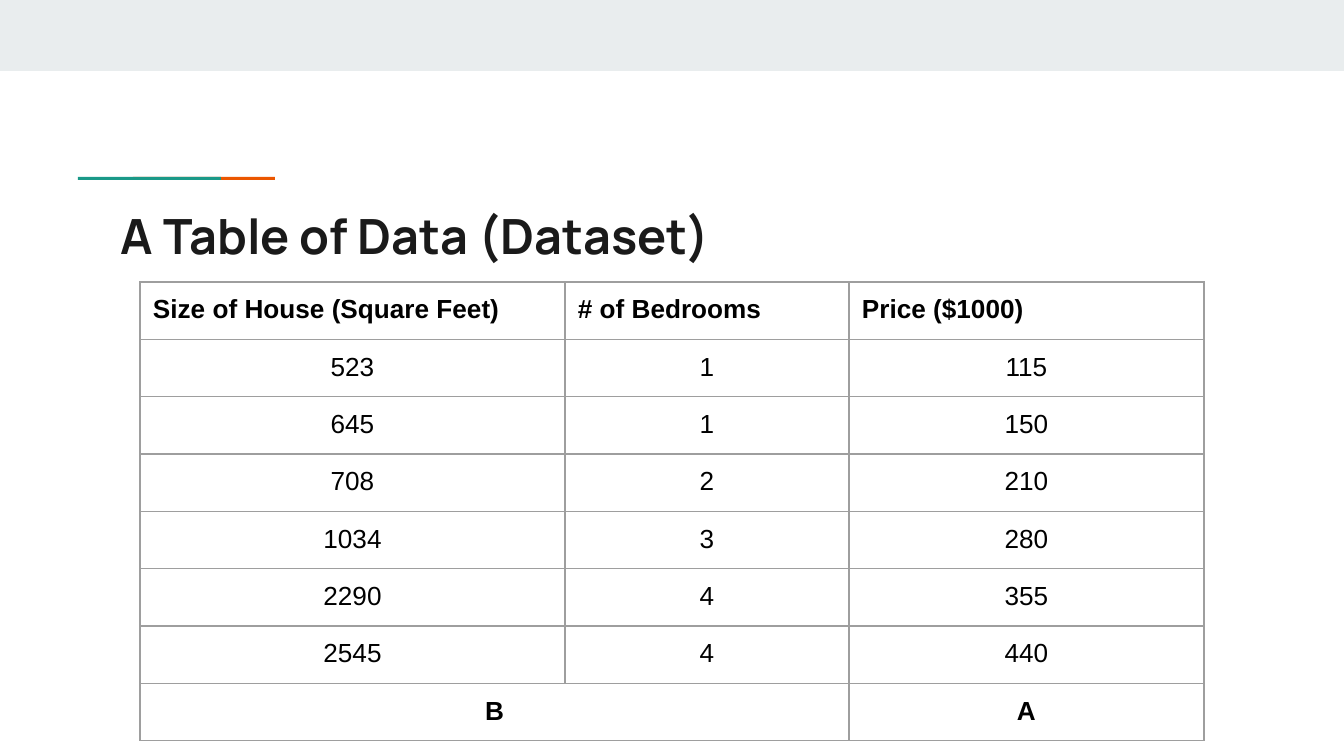
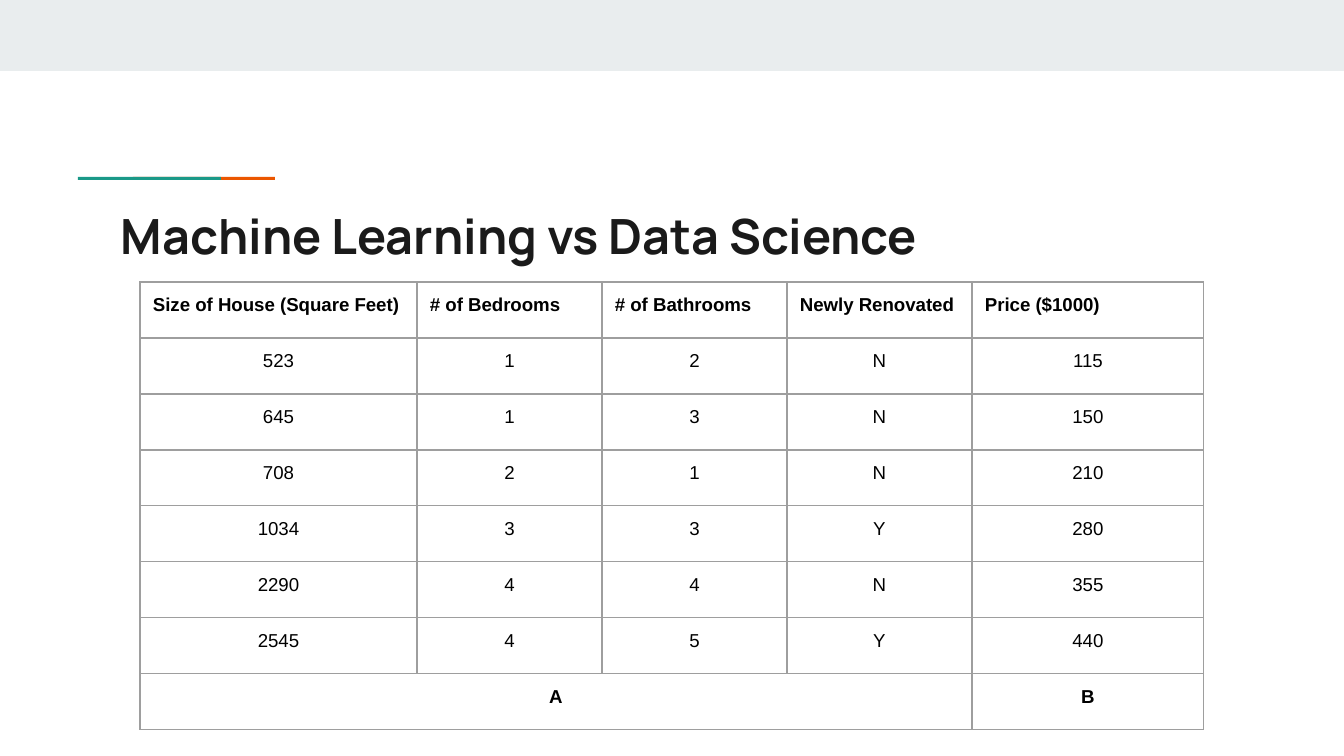
"""Build two slides that each show a house price dataset under a titled band."""
from lxml import etree
from pptx import Presentation
from pptx.dml.color import RGBColor
from pptx.enum.shapes import MSO_SHAPE
from pptx.enum.text import MSO_ANCHOR, PP_ALIGN
from pptx.oxml.ns import qn
from pptx.util import Pt

RECTANGLE = MSO_SHAPE.RECTANGLE
TOP = MSO_ANCHOR.TOP
LEFT, CENTER = PP_ALIGN.LEFT, PP_ALIGN.CENTER

EMU_PER_PX = 914400 / 134.4
COLORS = {
    "band": "E9EDEE",
    "orange": "EB5600",
    "teal": "1A9988",
    "title": "1A1A1A",
    "cell": "000000",
    "border": "9E9E9E",
}
BARS = [
    ("band", 0, 0, 1344, 71),
    ("orange", 133, 177, 142, 3),
    ("teal", 78, 177, 143, 3),
]
INSETS = ("margin_left", "margin_top", "margin_right", "margin_bottom")
INSET = 13
ROW_HEIGHT = 56

SLIDES = [
    {
        "title": "A Table of Data (Dataset)",
        "size": 14,
        "columns": [425, 284, 355],
        "rows": [
            ["Size of House (Square Feet)", "# of Bedrooms", "Price ($1000)"],
            ["523", "1", "115"],
            ["645", "1", "150"],
            ["708", "2", "210"],
            ["1034", "3", "280"],
            ["2290", "4", "355"],
            ["2545", "4", "440"],
            ["B", "", "A"],
        ],
    },
    {
        "title": "Machine Learning vs Data Science",
        "size": 10,
        "columns": [277, 185, 185, 185, 232],
        "rows": [
            ["Size of House (Square Feet)", "# of Bedrooms", "# of Bathrooms",
             "Newly Renovated", "Price ($1000)"],
            ["523", "1", "2", "N", "115"],
            ["645", "1", "3", "N", "150"],
            ["708", "2", "1", "N", "210"],
            ["1034", "3", "3", "Y", "280"],
            ["2290", "4", "4", "N", "355"],
            ["2545", "4", "5", "Y", "440"],
            ["A", "", "", "", "B"],
        ],
    },
]


def px(*lengths):
    return [round(length * EMU_PER_PX) for length in lengths]


def write(paragraph, text, color, **formats):
    span = paragraph.add_run()
    span.text = text
    span.font.color.rgb = RGBColor.from_string(COLORS[color])
    for name, value in formats.items():
        setattr(span.font, name, value)


deck = Presentation()
deck.slide_width, deck.slide_height = px(1344, 756)

for content in SLIDES:
    page = deck.slides.add_slide(deck.slide_layouts[6])

    for color, *place in BARS:
        bar = page.shapes.add_shape(RECTANGLE, *px(*place))
        bar.shadow.inherit = False
        bar.fill.solid()
        bar.fill.fore_color.rgb = RGBColor.from_string(COLORS[color])
        bar.line.fill.background()

    box = page.shapes.add_textbox(*px(108, 193, 1130, 79))
    frame = box.text_frame
    frame.word_wrap = True
    frame.vertical_anchor = TOP
    for inset in INSETS:
        setattr(frame, inset, px(INSET)[0])
    write(frame.paragraphs[0], content["title"], "title",
          name="Manrope", size=Pt(26), bold=True)

    rows, columns = content["rows"], content["columns"]
    last_row, last_column = len(rows) - 1, len(columns) - 1
    place = px(140, 282, sum(columns), ROW_HEIGHT * len(rows))
    table = page.shapes.add_table(len(rows), len(columns), *place).table
    table.first_row = table.horz_banding = False
    for column, width in zip(table.columns, px(*columns)):
        column.width = width

    for row_index, values in enumerate(rows):
        table.rows[row_index].height = px(ROW_HEIGHT)[0]
        for column_index, value in enumerate(values):
            cell = table.cell(row_index, column_index)
            cell.fill.background()
            cell.vertical_anchor = TOP
            for inset in INSETS:
                setattr(cell, inset, px(INSET)[0])
            properties = cell._tc.get_or_add_tcPr()
            for position, side in enumerate(("a:lnL", "a:lnR", "a:lnT", "a:lnB")):
                border = etree.Element(qn(side), w=str(Pt(0.75)))
                paint = etree.SubElement(border, qn("a:solidFill"))
                etree.SubElement(paint, qn("a:srgbClr"), val=COLORS["border"])
                properties.insert(position, border)
            if value:
                para = cell.text_frame.paragraphs[0]
                para.alignment = CENTER if row_index else LEFT
                write(para, value, "cell", name="Arial", size=Pt(content["size"]),
                      bold=row_index in (0, last_row))

    table.cell(last_row, 0).merge(table.cell(last_row, last_column - 1))

deck.save("out.pptx")
